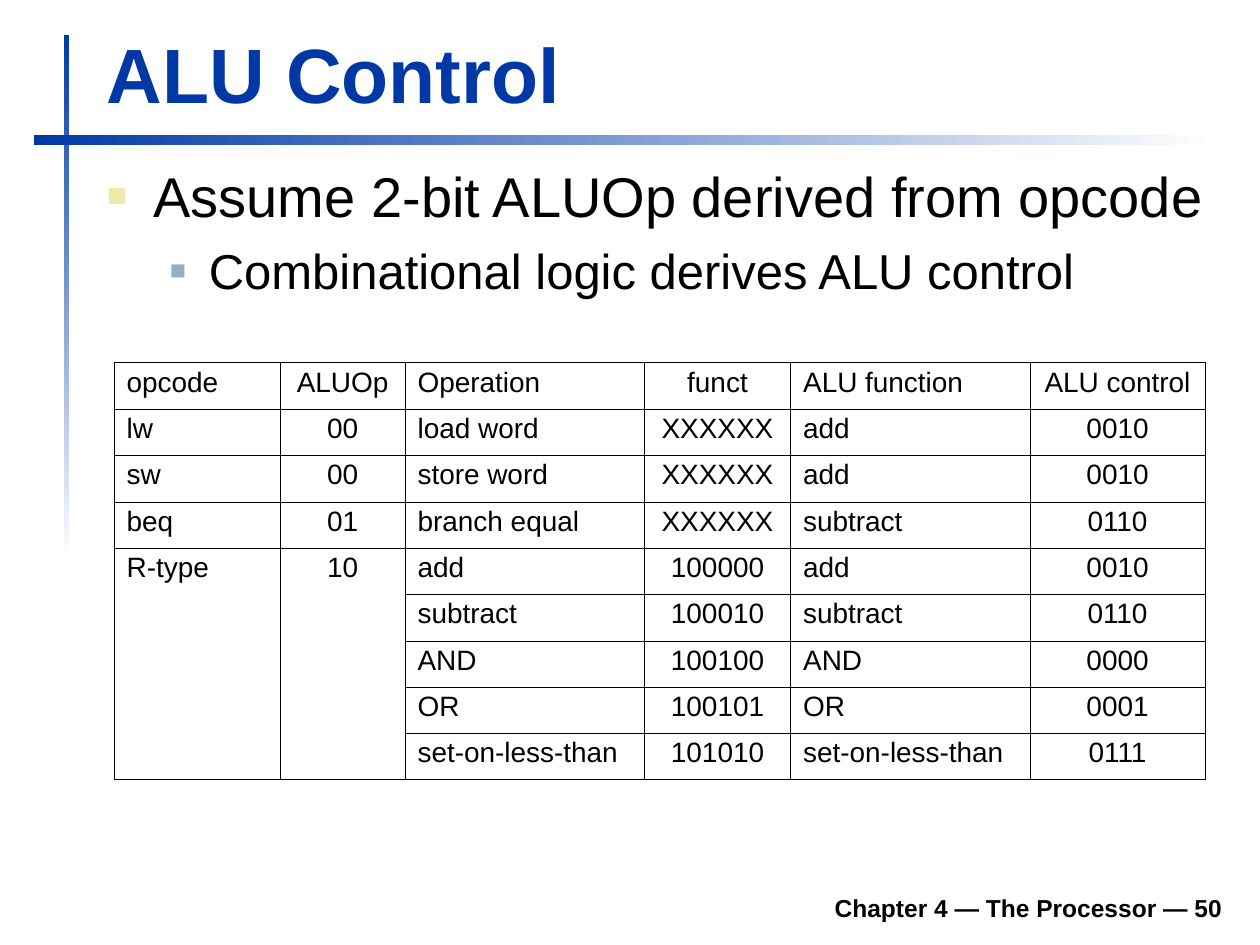
"""Build the ALU Control slide on a grid of 100 columns by 75 rows."""
from dataclasses import dataclass
from typing import Optional

from lxml import etree
from pptx import Presentation, util as u
from pptx.dml.color import RGBColor
from pptx.enum import shapes, text
from pptx.oxml import ns

COLORS = {"blue": "0039A6", "white": "FFFFFF", "black": "000000",
          "sand": "ECEAAC", "steel": "91AFBF"}
FONT = "Arial"
CELL = u.Inches(0.1)
NO_STYLE = "{2D5ABB26-0587-4C30-8999-92F81FD0307C}"
OUTER, HEADER, INNER = 0.5, 0.34, 0.23
LEFT, CENTER, RIGHT = text.PP_ALIGN.LEFT, text.PP_ALIGN.CENTER, text.PP_ALIGN.RIGHT
COLUMN_WIDTHS = [13.2, 9.9, 19, 11.6, 19, 13.9]
ROW_HEIGHT = 3.68
CENTERED_COLUMNS = {1, 3, 5}
MERGED_COLUMNS, MERGED_FROM = (0, 1), 4
ALU_ROWS = [
    ("opcode", "ALUOp", "Operation", "funct", "ALU function", "ALU control"),
    ("lw", "00", "load word", "XXXXXX", "add", "0010"),
    ("sw", "00", "store word", "XXXXXX", "add", "0010"),
    ("beq", "01", "branch equal", "XXXXXX", "subtract", "0110"),
    ("R-type", "10", "add", "100000", "add", "0010"),
    ("", "", "subtract", "100010", "subtract", "0110"),
    ("", "", "AND", "100100", "AND", "0000"),
    ("", "", "OR", "100101", "OR", "0001"),
    ("", "", "set-on-less-than", "101010", "set-on-less-than", "0111"),
]


@dataclass
class Area:
    column: float
    row: float
    columns: float
    rows: float

    def emu(self) -> list[int]:
        return [int(n * CELL) for n in (self.column, self.row, self.columns, self.rows)]


@dataclass
class Bullet:
    color: str
    percent: int
    margin: float
    hanging: float
    level: int = 0


@dataclass
class Line:
    words: str
    size: int
    color: str = "black"
    bold: bool = False
    align: text.PP_ALIGN = LEFT
    before: float = 0
    spacing: Optional[float] = None
    bullet: Optional[Bullet] = None


@dataclass
class Rule:
    area: Area
    angle: int


@dataclass
class Block:
    area: Area
    lines: list[Line]
    anchor: text.MSO_ANCHOR = text.MSO_ANCHOR.BOTTOM


RULES = [Rule(Area(5.1, 2.8, 0.4, 41.7), 270), Rule(Area(2.7, 10.7, 93.7, 0.8), 0)]
BLOCKS = [
    Block(Area(18.5, 69.8, 79.5, 3.9),
          [Line("Chapter 4 — The Processor — 50", 14, bold=True, align=RIGHT)]),
    Block(Area(7.5, 1.6, 90.3, 8.3), [Line("ALU Control", 44, "blue", True)]),
    Block(Area(7.5, 12.3, 90.4, 55.9), [
        Line("Assume 2-bit ALUOp derived from opcode", 32, before=8,
             bullet=Bullet("sand", 60, 3.7, 3.7)),
        Line("Combinational logic derives ALU control", 28, before=7,
             bullet=Bullet("steel", 55, 8.1, 3.1, 1)),
    ], text.MSO_ANCHOR.TOP),
]


def rgb(name: str) -> RGBColor:
    return RGBColor.from_string(COLORS[name])


def add_child(parent, tag: str, **attributes: str):
    return etree.SubElement(parent, ns.qn(tag), attributes)


def draw_rule(slide, rule: Rule) -> None:
    bar = slide.shapes.add_shape(shapes.MSO_SHAPE.RECTANGLE, *rule.area.emu())
    bar.shadow.inherit = False
    bar.line.fill.background()
    bar.fill.gradient()
    bar.fill.gradient_angle = rule.angle
    for stop, color, position in zip(bar.fill.gradient_stops, ("blue", "white"), (0, 1)):
        stop.color.rgb = rgb(color)
        stop.position = position


def add_bullet(paragraph, bullet: Bullet) -> None:
    paragraph.level = bullet.level
    properties = paragraph._p.get_or_add_pPr()
    properties.set("marL", str(int(bullet.margin * CELL)))
    properties.set("indent", str(-int(bullet.hanging * CELL)))
    add_child(add_child(properties, "a:buClr"), "a:srgbClr", val=COLORS[bullet.color])
    add_child(properties, "a:buSzPct", val=str(bullet.percent * 1000))
    add_child(properties, "a:buFont", typeface=FONT)
    add_child(properties, "a:buChar", char="■")


def write_line(paragraph, line: Line) -> None:
    paragraph.alignment = line.align
    paragraph.line_spacing = line.spacing
    paragraph.space_before = u.Pt(line.before)
    if line.bullet:
        add_bullet(paragraph, line.bullet)
    run = paragraph.add_run()
    run.text = line.words
    run.font.name, run.font.size, run.font.bold = FONT, u.Pt(line.size), line.bold
    run.font.color.rgb = rgb(line.color)


def draw_block(slide, block: Block) -> None:
    frame = slide.shapes.add_textbox(*block.area.emu()).text_frame
    frame.word_wrap = True
    frame.vertical_anchor = block.anchor
    for index, line in enumerate(block.lines):
        write_line(frame.add_paragraph() if index else frame.paragraphs[0], line)


def draw_borders(cell, row: int, column: int) -> None:
    last_row, last_column = len(ALU_ROWS) - 1, len(COLUMN_WIDTHS) - 1
    bottom_row = row + cell.span_height - 1 if cell.is_merge_origin else row
    widths = {
        "a:lnL": INNER if column else OUTER,
        "a:lnR": OUTER if column == last_column else INNER,
        "a:lnT": {0: OUTER, 1: HEADER}.get(row, INNER),
        "a:lnB": {0: HEADER, last_row: OUTER}.get(bottom_row, INNER),
    }
    if cell.is_spanned:
        del widths["a:lnT"]
        if row < last_row:
            del widths["a:lnB"]
    properties = cell._tc.get_or_add_tcPr()
    for side, width in widths.items():
        border = add_child(properties, side, w=str(u.Pt(width)))
        add_child(add_child(border, "a:solidFill"), "a:srgbClr", val=COLORS["black"])


def draw_table(slide) -> None:
    area = Area(9.05, 28.8, sum(COLUMN_WIDTHS), ROW_HEIGHT * len(ALU_ROWS))
    table = slide.shapes.add_table(len(ALU_ROWS), len(COLUMN_WIDTHS), *area.emu()).table
    table.first_row = table.horz_banding = False
    table._tbl.tblPr.find(ns.qn("a:tableStyleId")).text = NO_STYLE
    for column, width in zip(table.columns, COLUMN_WIDTHS):
        column.width = int(width * CELL)
    for row in table.rows:
        row.height = int(ROW_HEIGHT * CELL)
    for column in MERGED_COLUMNS:
        table.cell(MERGED_FROM, column).merge(table.cell(len(ALU_ROWS) - 1, column))
    for row, entries in enumerate(ALU_ROWS):
        for column, words in enumerate(entries):
            cell = table.cell(row, column)
            draw_borders(cell, row, column)
            cell.fill.background()
            if not cell.is_spanned:
                align = CENTER if column in CENTERED_COLUMNS else LEFT
                write_line(cell.text_frame.paragraphs[0],
                           Line(words, 16, align=align, before=4, spacing=0.93))


def main() -> None:
    deck = Presentation()
    deck.slide_width, deck.slide_height = 100 * CELL, 75 * CELL
    slide = deck.slides.add_slide(deck.slide_layouts[6])
    for rule in RULES:
        draw_rule(slide, rule)
    for block in BLOCKS:
        draw_block(slide, block)
    draw_table(slide)
    deck.save("out.pptx")


if __name__ == "__main__":
    main()
